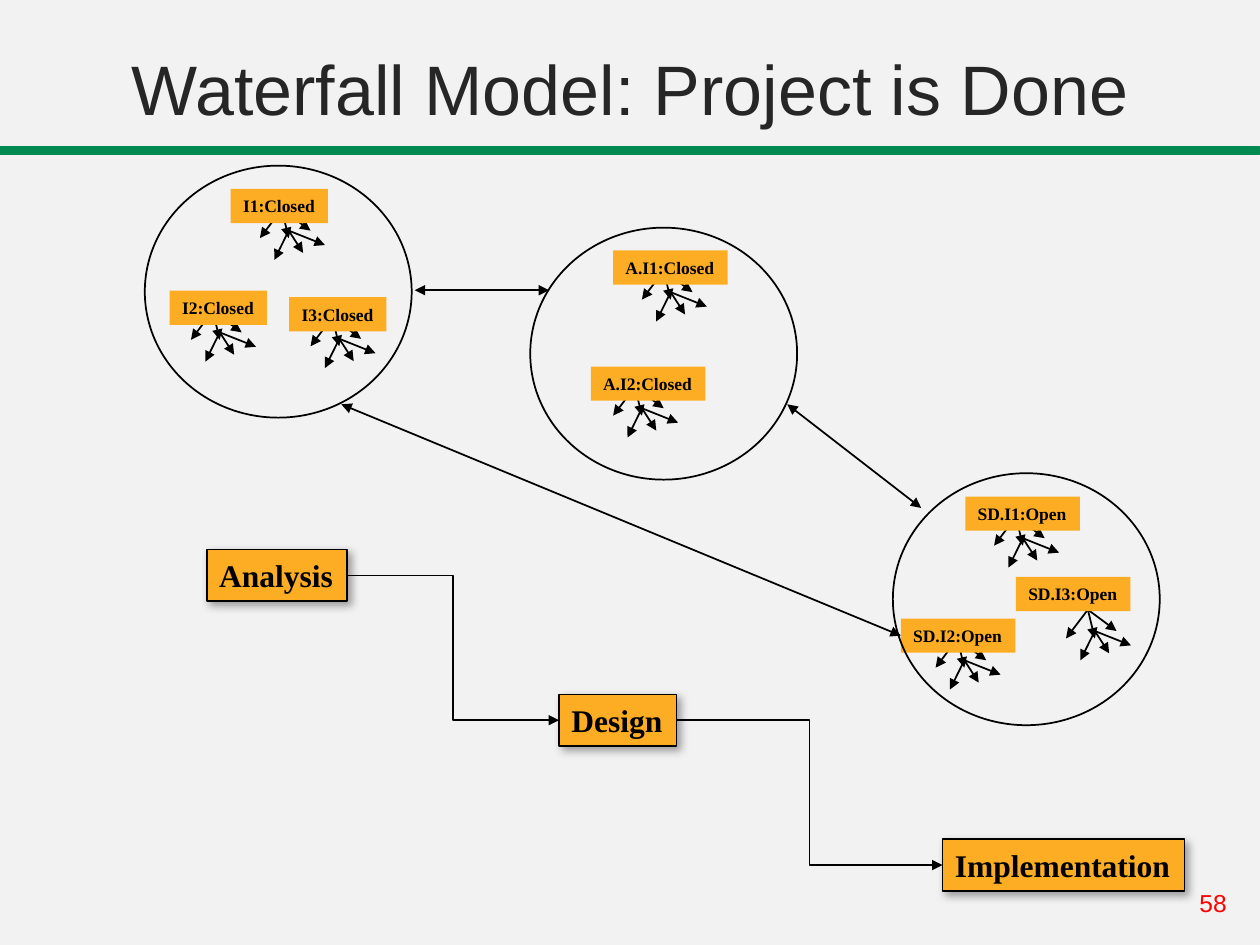
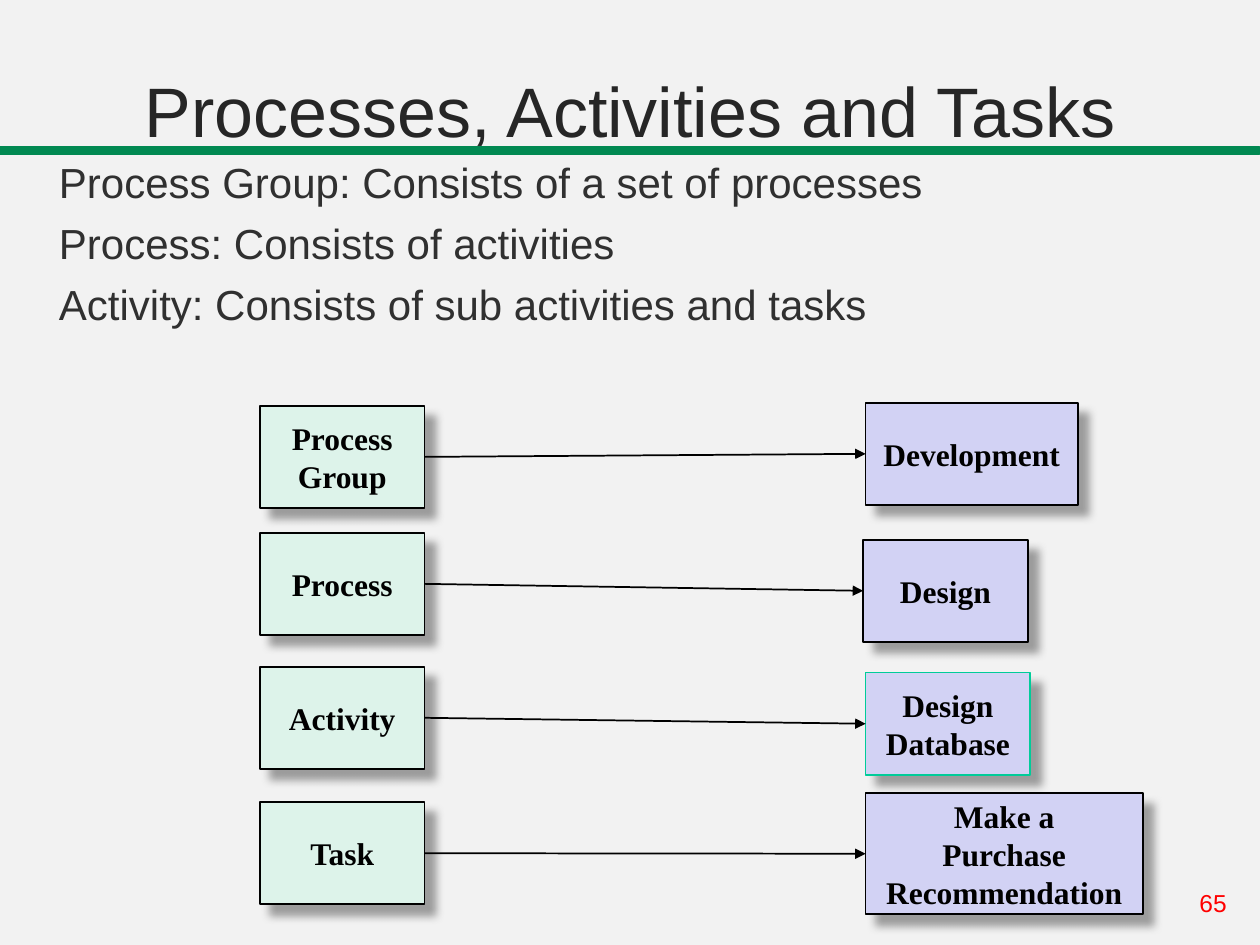
from pptx import Presentation
from pptx.dml.color import RGBColor
from pptx.enum.shapes import MSO_CONNECTOR, MSO_SHAPE
from pptx.enum.text import MSO_ANCHOR, MSO_AUTO_SIZE, PP_ALIGN
from pptx.oxml.ns import qn
from pptx.util import Cm, Pt
from lxml.etree import SubElement

# Shared style
BLACK, GREEN, AMBER = "000000", "018952", "FDAD23"
MINT, LILAC, TEAL = "DDF3EA", "D2D2F4", "00CC99"
PAPER, RED, TITLE_INK, BODY_INK = "F2F2F2", "FF0000", "262626", "303030"
SANS, SERIF = "Arial", "Times New Roman"
RIGHT_SIDE, LEFT_SIDE = 3, 1
MARGINS = {"margin_left": Cm(0.25), "margin_right": Cm(0.25),
           "margin_top": Cm(0.13), "margin_bottom": Cm(0.13)}
GROWING = {"word_wrap": False, "auto_size": MSO_AUTO_SIZE.SHAPE_TO_FIT_TEXT,
           "vertical_anchor": MSO_ANCHOR.TOP}
CENTRED = {"word_wrap": False, "auto_size": MSO_AUTO_SIZE.NONE,
           "vertical_anchor": MSO_ANCHOR.MIDDLE}


def color(value):
    return RGBColor.from_string(value)


def apply(target, values):
    for name, value in values.items():
        setattr(target, name, value)


class Sketch:
    """Holds the deck, its style and the slide being drawn."""

    def __init__(self):
        self.deck = Presentation()
        apply(self.deck, {"slide_width": Cm(25.4), "slide_height": Cm(19.05)})
        fill = self.deck.slide_master.background.fill
        fill.solid()
        fill.fore_color.rgb = color(PAPER)
        self.page = None

    def start_page(self, title, number, title_height):
        self.page = self.deck.slides.add_slide(self.deck.slide_layouts[5])
        # Green band and page number
        self.shape(0, 2.97, 25.4, 0.13, fill=GREEN, line=GREEN, weight=1.75)
        self.text_box(23.93, 17.78, 1.47, 0.86, [number], 14, RED,
                      {"auto_size": MSO_AUTO_SIZE.SHAPE_TO_FIT_TEXT})
        # Title, in front of the band
        box = self.page.shapes.title
        apply(box, {"left": 0, "top": 0, "width": Cm(25.4), "height": Cm(title_height)})
        self.set_text(box, [title], 40, SANS, TITLE_INK, align=PP_ALIGN.CENTER,
                      frame={"vertical_anchor": MSO_ANCHOR.BOTTOM, "word_wrap": True,
                             "auto_size": MSO_AUTO_SIZE.NONE})
        self.page.shapes.element.append(box.element)

    def set_text(self, box, lines, size, font, ink, bold=False, align=PP_ALIGN.LEFT,
                 frame=None):
        text = box.text_frame
        apply(text, MARGINS | (frame or {}))
        for index, line in enumerate(lines):
            para = text.add_paragraph() if index else text.paragraphs[0]
            para.alignment = align
            span = para.add_run()
            span.text = line
            apply(span.font, {"name": font, "size": Pt(size), "bold": bold})
            span.font.color.rgb = color(ink)

    def text_box(self, left, top, width, height, lines, size, ink, frame):
        box = self.page.shapes.add_textbox(Cm(left), Cm(top), Cm(width), Cm(height))
        self.set_text(box, lines, size, SANS, ink, frame={"word_wrap": True} | frame)
        return box

    def shape(self, left, top, width, height, kind=MSO_SHAPE.RECTANGLE, fill=None,
              line=None, weight=1):
        box = self.page.shapes.add_shape(kind, Cm(left), Cm(top), Cm(width), Cm(height))
        box.shadow.inherit = False
        if fill:
            box.fill.solid()
            box.fill.fore_color.rgb = color(fill)
        else:
            box.fill.background()
        if line:
            box.line.color.rgb = color(line)
            box.line.width = Pt(weight)
        else:
            box.line.fill.background()
        return box

    def label(self, left, top, width, height, lines, size, fill, line=None,
              shadow=None, frame=GROWING, align=PP_ALIGN.LEFT):
        box = self.shape(left, top, width, height, fill=fill, line=line)
        self.set_text(box, lines, size, SERIF, BLACK, True, align, frame)
        if shadow:
            self.cast_shadow(box, shadow)
        return box

    def cast_shadow(self, box, distance):
        effects = box.element.spPr.find(qn("a:effectLst"))
        shadow = SubElement(effects, qn("a:outerShdw"), blurRad=str(Pt(5)),
                            dist=str(Pt(distance)), dir="2700000",
                            algn="ctr", rotWithShape="0")
        tint = SubElement(shadow, qn("a:srgbClr"), val="808080")
        SubElement(tint, qn("a:alpha"), val="75000")

    def arrow(self, start, end, both=False, kind=MSO_CONNECTOR.STRAIGHT, parent=None):
        shapes = (parent or self.page).shapes
        link = shapes.add_connector(kind, *(Cm(value) for value in (*start, *end)))
        link.line.color.rgb = color(BLACK)
        link.line.width = Pt(1)
        for tip in ("a:headEnd", "a:tailEnd") if both else ("a:tailEnd",):
            SubElement(link.get_or_add_ln(), qn(tip), type="triangle")
        SubElement(link.element.spPr, qn("a:effectLst"))
        return link

    def join(self, source, target, kind=MSO_CONNECTOR.STRAIGHT):
        link = self.arrow((0, 0), (1, 1), kind=kind)
        link.begin_connect(source, RIGHT_SIDE)
        link.end_connect(target, LEFT_SIDE)

    def rays(self, x, y):
        """Two small fans of arrows, the second starting below the first."""
        group = self.page.shapes.add_group_shape()
        fans = {(0, 0): [(0.14, 0.58), (-0.44, 0.58), (0.58, 0.43)],
                (0.14, 0.43): [(-0.15, 1.02), (0.43, 0.88), (0.87, 0.72)]}
        for (hub_x, hub_y), tips in fans.items():
            for tip_x, tip_y in tips:
                self.arrow((x + hub_x, y + hub_y), (x + tip_x, y + tip_y), parent=group)


def draw_waterfall(sketch):
    sketch.start_page("Waterfall Model: Project is Done", "58", 2.74)

    # Issues: name, left, top, width, offset of the rays
    issues = [
        ("I1:Closed", 4.65, 3.81, 1.96, 1.03, 0.41),
        ("I2:Closed", 3.42, 5.86, 1.96, 0.87, 0.41),
        ("I3:Closed", 5.83, 5.99, 1.96, 0.87, 0.41),
        ("A.I1:Closed", 12.36, 5.05, 2.31, 1.02, 0.41),
        ("A.I2:Closed", 11.91, 7.39, 2.31, 0.89, 0.41),
        ("SD.I1:Open", 19.46, 10.01, 2.31, 1.02, 0.41),
        ("SD.I2:Open", 18.16, 12.47, 2.31, 1.14, 0.41),
        ("SD.I3:Open", 20.48, 11.63, 2.31, 1.45, 0.66),
    ]
    boxes = {}
    for name, left, top, width, ray_x, ray_y in issues:
        sketch.rays(left + ray_x, top + ray_y)
        boxes[name] = sketch.label(left, top, width, 0.69, [name], 10, AMBER)

    # Circles around the issues of each phase
    for left, top in [(2.92, 3.34), (10.69, 4.59), (18, 9.54)]:
        sketch.shape(left, top, 5.38, 5.08, MSO_SHAPE.OVAL, line=BLACK)

    # Phases, stepping down evenly
    phases = [("Analysis", 4.17, 2.83), ("Design", 11.27, 2.37),
              ("Implementation", 19, 4.88)]
    steps = [sketch.label(left, 11.08 + 2.92 * row, width, 1.04, [name], 18, AMBER,
                          BLACK, shadow=3)
             for row, (name, left, width) in enumerate(phases)]
    for source, target in zip(steps, steps[1:]):
        sketch.join(source, target, MSO_CONNECTOR.ELBOW)

    # Links between the circles
    sketch.arrow((8.36, 5.85), (11.07, 5.85), both=True)
    sketch.arrow((15.87, 8.15), (18.57, 10.24), both=True)
    link = sketch.arrow((18.16, 12.75), (6.88, 8.15), both=True)
    link.begin_connect(boxes["SD.I2:Open"], LEFT_SIDE)


def draw_processes(sketch):
    sketch.start_page("Processes, Activities and Tasks", "65", 3.18)

    # Definitions
    body = sketch.text_box(0.94, 2.59, 22.94, 4.62, [
        "Process Group: Consists of a set of processes",
        "Process: Consists of activities",
        "Activity: Consists of sub activities and tasks",
    ], 24, BODY_INK, {"vertical_anchor": MSO_ANCHOR.MIDDLE,
                      "auto_size": MSO_AUTO_SIZE.NONE})
    for para in body.text_frame.paragraphs:
        para.space_before = Pt(6)
        apply(para._p.get_or_add_pPr(), {"marL": Cm(0.95), "indent": -Cm(0.95)})

    # Each level and its example: lines, top; lines, left, top, width, height, outline
    pairs = [
        (["Process", "Group"], 8.18,
         ["Development"], 17.45, 8.12, 4.28, 2.06, BLACK),
        (["Process"], 10.74,
         ["Design"], 17.4, 10.88, 3.32, 2.06, BLACK),
        (["Activity"], 13.44,
         ["Design", "Database"], 17.45, 13.56, 3.32, 2.06, TEAL),
        (["Task"], 16.17,
         ["Make a", "Purchase", "Recommendation"], 17.45, 15.99, 5.59, 2.44, BLACK),
    ]
    style = {"shadow": 8.5, "frame": CENTRED, "align": PP_ALIGN.CENTER}
    for level, level_top, example, left, top, width, height, outline in pairs:
        source = sketch.label(5.24, level_top, 3.32, 2.06, level, 18, MINT, BLACK, **style)
        target = sketch.label(left, top, width, height, example, 18, LILAC, outline,
                              **style)
        sketch.join(source, target)


def main():
    sketch = Sketch()
    draw_waterfall(sketch)
    draw_processes(sketch)
    sketch.deck.save("out.pptx")


if __name__ == "__main__":
    main()
